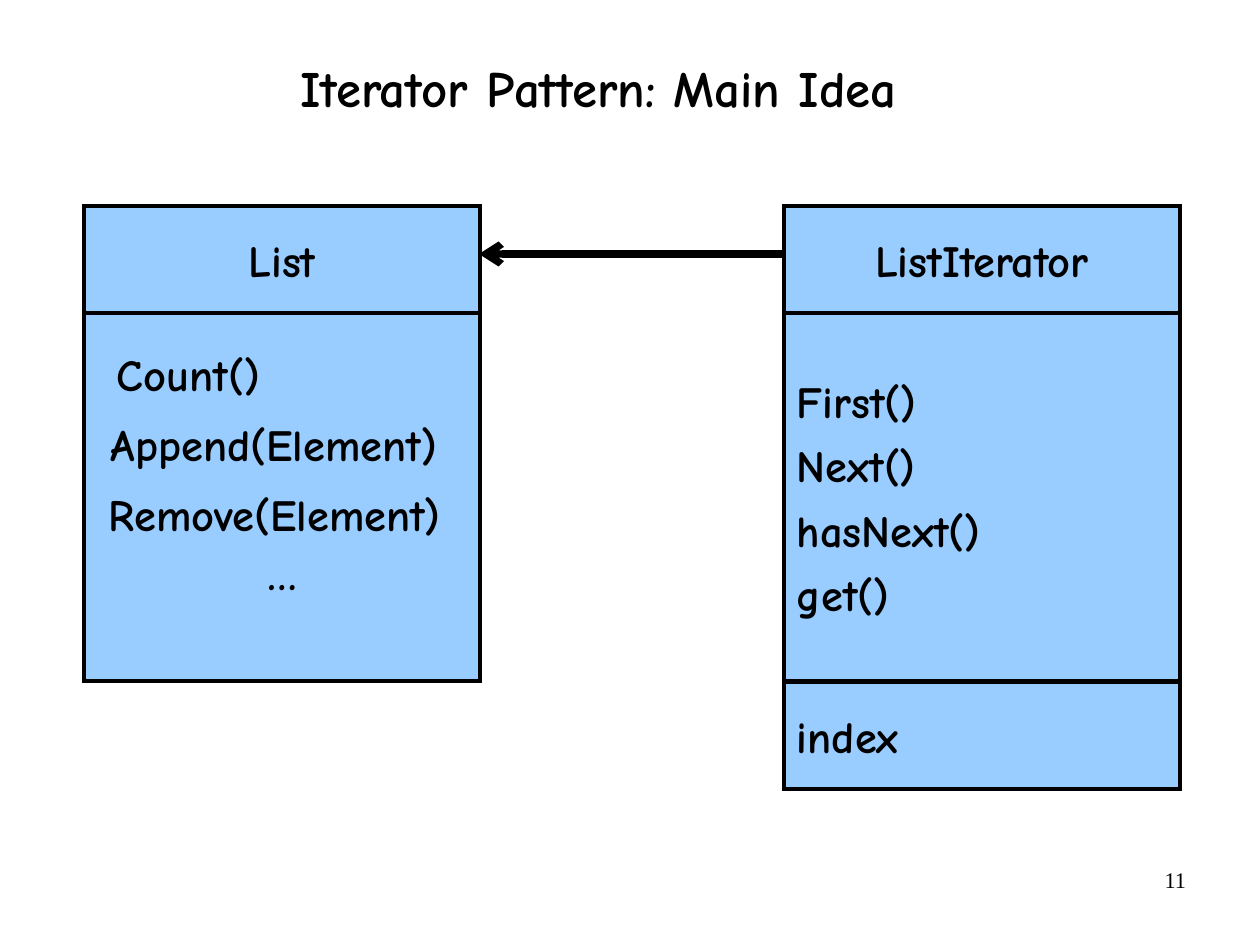
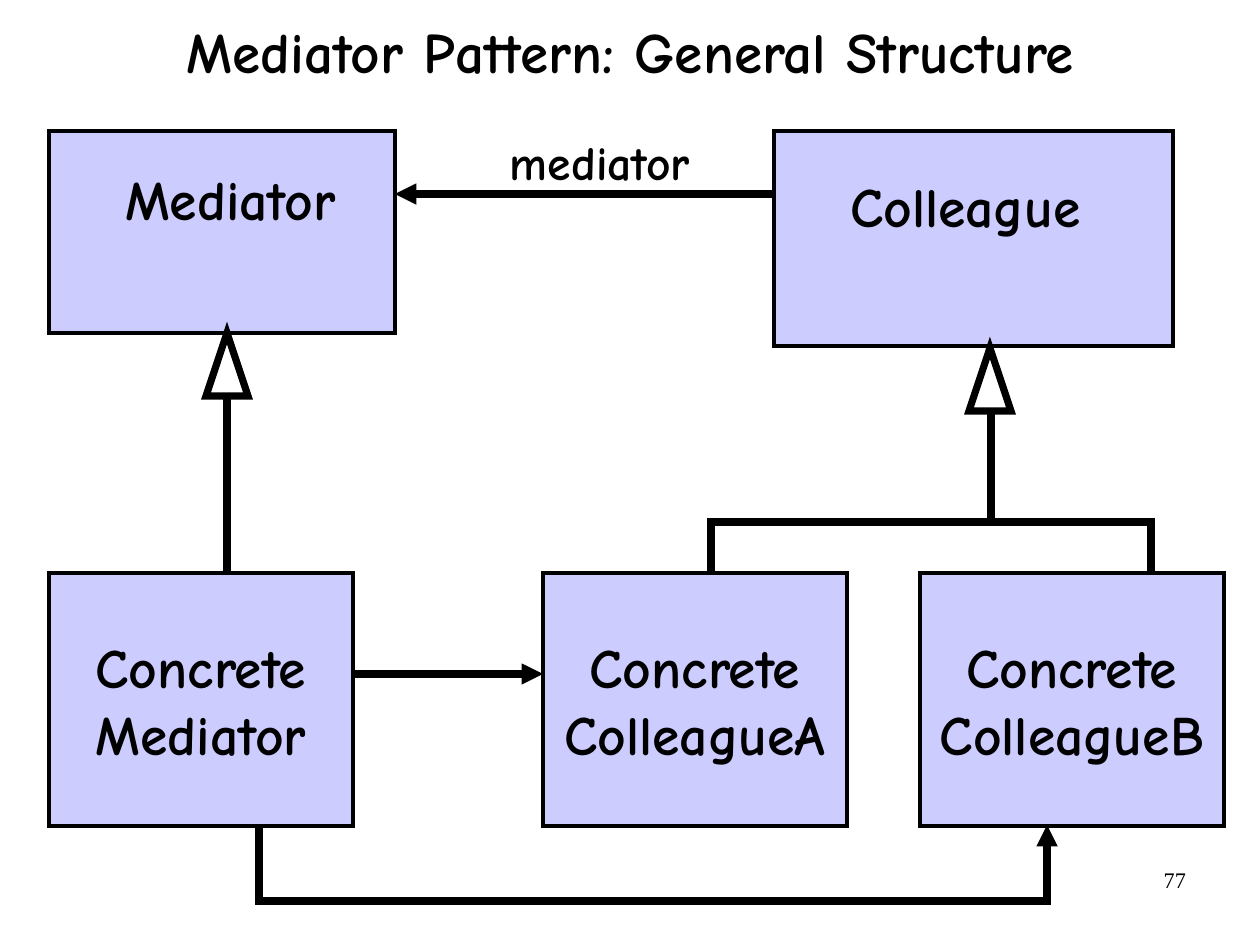
from dataclasses import dataclass
from typing import Optional

from lxml.etree import SubElement
from pptx import Presentation
from pptx.dml.color import RGBColor
from pptx.enum.shapes import MSO_CONNECTOR as Wire, MSO_SHAPE as Form
from pptx.enum.text import MSO_ANCHOR as Anchor, MSO_AUTO_SIZE as Fit, PP_ALIGN as Align
from pptx.oxml.ns import qn
from pptx.util import Emu, Pt

SCALE = 8000
WIDE, HIGH = 1260, 945
BLACK = RGBColor(0x00, 0x00, 0x00)
SKY = RGBColor(0x99, 0xCC, 0xFF)
LILAC = RGBColor(0xCC, 0xCC, 0xFF)
COMIC, TIMES = "Comic Neue", "Times New Roman"
THICK = 4.5
PADS = (13, 7, 13, 7)


@dataclass(frozen=True)
class Line:
    text: str
    align: Align = Align.CENTER
    indent: int = 0
    gap: float = 0
    lead: Optional[float] = None


@dataclass(frozen=True)
class Area:
    left: int
    top: int
    width: int
    height: int


@dataclass(frozen=True)
class Box:
    area: Area
    lines: tuple[Line, ...]
    rise: int = 0


@dataclass(frozen=True)
class Look:
    fill: RGBColor
    edge: float
    size: int


@dataclass(frozen=True)
class Path:
    points: tuple[tuple[int, int], ...]
    tip: Optional[str] = None


def px(count: int) -> Emu:
    return Emu(count * SCALE)


def spot(area: Area) -> tuple[Emu, ...]:
    return px(area.left), px(area.top), px(area.width), px(area.height)


def write(frame, lines, size, face=COMIC, bold=True, anchor=Anchor.MIDDLE,
          pads=PADS, wrap=True) -> None:
    frame.text = "\n".join(line.text for line in lines)
    frame.auto_size = Fit.NONE
    frame.word_wrap = wrap
    frame.vertical_anchor = anchor
    (frame.margin_left, frame.margin_top,
     frame.margin_right, frame.margin_bottom) = map(px, pads)
    for part, line in zip(frame.paragraphs, lines):
        part.alignment = line.align
        if line.indent:
            part._p.get_or_add_pPr().set("marL", str(px(line.indent)))
        if line.gap:
            part.space_before = Pt(line.gap)
        if line.lead:
            part.line_spacing = line.lead
        for run in part.runs:
            run.font.name, run.font.size, run.font.bold = face, Pt(size), bold
            run.font.color.rgb = BLACK


def stroke(shape, width: float, tip: Optional[str] = None) -> None:
    shape.line.color.rgb = BLACK
    shape.line.width = Pt(width)
    edge = shape.line._get_or_add_ln()
    SubElement(edge, qn("a:miter")).set("lim", "800000")
    if tip:
        SubElement(edge, qn("a:tailEnd")).set("type", tip)


def label(slide, area: Area, line: Line, size: int, **style) -> None:
    write(slide.shapes.add_textbox(*spot(area)).text_frame, (line,), size,
          anchor=Anchor.TOP, **style)


def draw_box(slide, box: Box, look: Look) -> None:
    shape = slide.shapes.add_shape(Form.RECTANGLE, *spot(box.area))
    shape.shadow.inherit = False
    shape.fill.solid()
    shape.fill.fore_color.rgb = look.fill
    stroke(shape, look.edge)
    write(shape.text_frame, box.lines, look.size, pads=(*PADS[:3], PADS[3] + box.rise))


def draw_path(slide, path: Path) -> None:
    start, *rest = path.points
    if len(rest) == 1:
        shape = slide.shapes.add_connector(Wire.STRAIGHT, *map(px, start + rest[0]))
        stroke(shape, THICK, path.tip)
        SubElement(shape._element.spPr, qn("a:effectLst"))
        return
    pen = slide.shapes.build_freeform(*start, scale=SCALE)
    pen.add_line_segments(rest, close=False)
    shape = pen.convert_to_shape()
    shape.shadow.inherit = False
    shape.fill.background()
    stroke(shape, THICK, path.tip)


def draw_peak(slide, left: int, top: int) -> None:
    shape = slide.shapes.add_shape(Form.ISOSCELES_TRIANGLE, *spot(Area(left, top, 42, 63)))
    shape.shadow.inherit = False
    shape.fill.background()
    stroke(shape, THICK)


def add_slide(deck, title: str, area: Area, size: int, anchor: Anchor, number: str):
    slide = deck.slides.add_slide(deck.slide_layouts[5])
    head = slide.shapes.title
    head.left, head.top, head.width, head.height = spot(area)
    pads = PADS if anchor == Anchor.BOTTOM else (0, 0, 0, 0)
    write(head.text_frame, (Line(title, lead=0.88),), size, anchor=anchor, pads=pads)
    label(slide, Area(903, 860, 294, 65), Line(number, Align.RIGHT), 14,
          face=TIMES, bold=False, pads=(11, 6, 11, 6))
    return slide


def list_slide(deck) -> None:
    slide = add_slide(deck, "Iterator Pattern: Main Idea", Area(35, 0, 1127, 125),
                      32, Anchor.BOTTOM, "11")
    look = Look(SKY, 2.25, 28)
    one, two, width = 84, 784, 396
    top, mid, low = 206, 313, 682
    short, tall = 107, 368
    calls = ("First()", "Next()", "hasNext()", "get()")
    boxes = (
        Box(Area(one, top, width, short), (Line("List"),)),
        Box(Area(one, mid, width, tall), (
            Line("Count()", Align.LEFT, 20, 0, 1.1),
            Line("Append(Element)", Align.LEFT, 14, 7, 1.1),
            Line("Remove(Element)", Align.LEFT, 12, 7, 1.1),
            Line("…", gap=3.5)), rise=53),
        Box(Area(two, top, width, short), (Line("ListIterator"),)),
        Box(Area(two, mid, width, tall), tuple(
            Line(call, Align.LEFT, gap=7 if at else 0) for at, call in enumerate(calls))),
        Box(Area(two, low, width, short), (Line("index", Align.LEFT),)),
    )
    for box in boxes:
        draw_box(slide, box, look)
    draw_path(slide, Path(((two, 254), (479, 254)), "arrow"))


def peer_slide(deck) -> None:
    slide = add_slide(deck, "Mediator Pattern: General Structure", Area(0, 0, WIDE, 111),
                      36, Anchor.MIDDLE, "77")
    look = Look(LILAC, 3, 35)
    for name, area in (("Mediator", Area(49, 131, 346, 202)),
                       ("Colleague", Area(774, 131, 399, 215))):
        draw_box(slide, Box(area, (Line(name, Align.LEFT, 63),), rise=67), look)
    for left, name in ((49, "Mediator"), (543, "ColleagueA"), (920, "ColleagueB")):
        draw_box(slide, Box(Area(left, 573, 304, 253), (Line("Concrete"), Line(name))), look)
    label(slide, Area(497, 126, 207, 70), Line("mediator", Align.LEFT), 30, wrap=False)
    paths = (
        Path(((774, 194), (395, 194)), "triangle"),
        Path(((227, 397), (227, 573))),
        Path(((991, 409), (991, 522))),
        Path(((353, 674), (543, 674)), "triangle"),
        Path(((973, 522), (711, 522), (711, 573))),
        Path(((973, 522), (1151, 522), (1151, 573))),
        Path(((259, 825), (259, 901), (1047, 901), (1047, 825)), "triangle"),
    )
    for path in paths:
        draw_path(slide, path)
    for left, top in ((206, 333), (969, 348)):
        draw_peak(slide, left, top)


def main() -> None:
    deck = Presentation()
    deck.slide_width, deck.slide_height = px(WIDE), px(HIGH)
    list_slide(deck)
    peer_slide(deck)
    deck.save("out.pptx")


if __name__ == "__main__":
    main()
